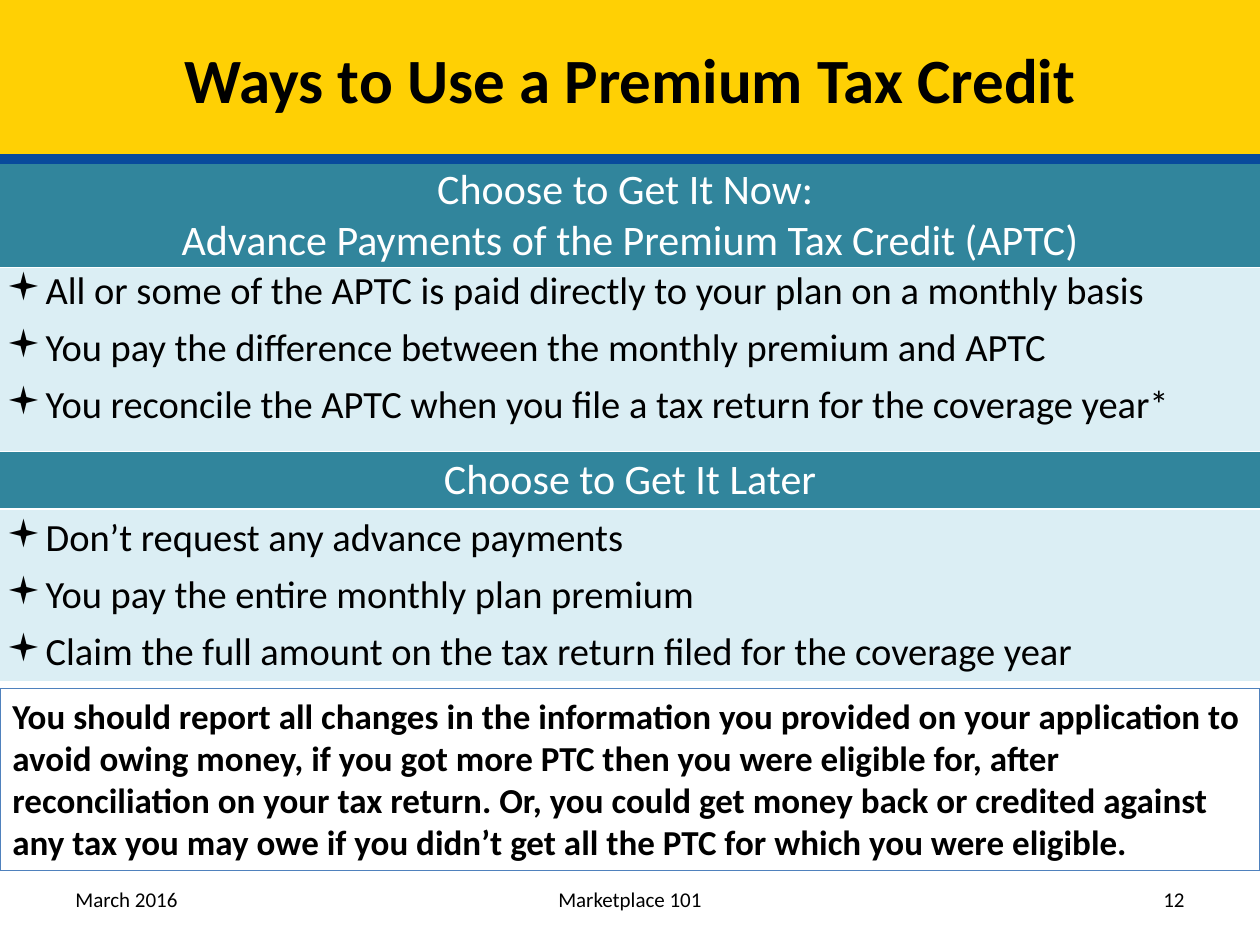
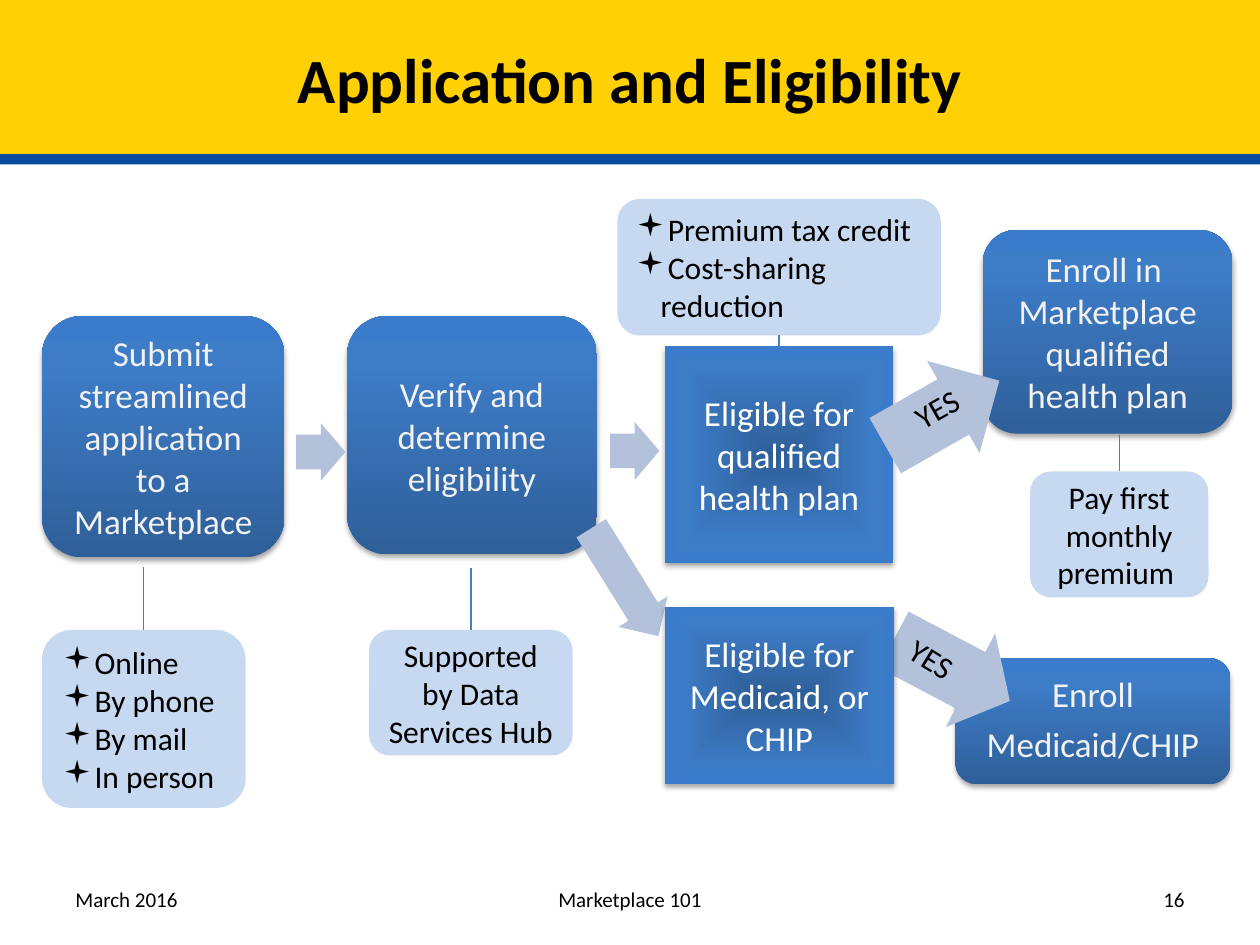
"""Build two Marketplace slides: ways to use a tax credit, and the eligibility flow."""
from dataclasses import dataclass, replace
from typing import Any, NamedTuple, Optional

from pptx import Presentation
from pptx.dml.color import RGBColor
from pptx.enum.shapes import MSO_CONNECTOR as Line, MSO_SHAPE as Preset
from pptx.enum.text import MSO_ANCHOR as Anchor, PP_ALIGN as Align
from pptx.oxml import parse_xml
from pptx.oxml.ns import nsdecls, qn
from pptx.oxml.xmlchemy import OxmlElement
from pptx.util import Inches, Pt

SLIDE_WIDTH, SLIDE_HEIGHT = Inches(10), Inches(7.5)
COLUMNS, ROWS = 120, 90
FONT, BULLET_FONT = "Calibri", "Wingdings"
BLACK = RGBColor(0x00, 0x00, 0x00)
WHITE = RGBColor(0xFF, 0xFF, 0xFF)
OFF_WHITE = RGBColor(0xF2, 0xF2, 0xF2)
YELLOW = RGBColor(0xFF, 0xD0, 0x04)
NAVY = RGBColor(0x08, 0x4A, 0x9C)
TEAL = RGBColor(0x31, 0x85, 0x9C)
PALE_TEAL = RGBColor(0xDB, 0xEE, 0xF4)
PALE_BLUE = RGBColor(0xC6, 0xD9, 0xF1)
ARROW_BLUE = RGBColor(0xB3, 0xC1, 0xDB)
LINE_BLUE = RGBColor(0x4B, 0x7E, 0xBC)
NOTE_BLUE = RGBColor(0x4F, 0x81, 0xBD)
DEEP_BLUE = RGBColor(0x2F, 0x5F, 0x99)
MID_BLUE = RGBColor(0x3D, 0x7C, 0xC7)
BRIGHT_BLUE = RGBColor(0x3A, 0x7C, 0xCB)

UPWARD = '<a:lin ang="16200000" scaled="0"/>'
OUTWARD = '<a:path path="rect"><a:fillToRect l="50000" t="50000" r="50000" b="50000"/></a:path>'


class Area(NamedTuple):
    """A place on the grid, in columns and rows."""
    left: float
    top: float
    width: float
    height: float


class Shadow(NamedTuple):
    """A shadow that falls straight down, in points and percent."""
    color: RGBColor
    opacity: int
    blur: float
    distance: float


@dataclass(frozen=True)
class Prose:
    """How the paragraphs of a box look."""
    size: float
    color: RGBColor = BLACK
    bold: bool = False
    align: Align = Align.CENTER
    anchor: Anchor = Anchor.MIDDLE
    indent: float = 0
    before: float = 0
    after: float = 0
    spacing: float = 1.0


@dataclass(frozen=True)
class Look:
    """How a shape is drawn."""
    preset: Preset = Preset.RECTANGLE
    fill: Optional[RGBColor] = None
    gradient: str = ""
    outline: Optional[RGBColor] = None
    margin: Optional[float] = None
    shadow: Optional[Shadow] = None


@dataclass(frozen=True)
class Item:
    """One shape with its text."""
    area: Area
    look: Look
    lines: tuple[str, ...] = ()
    prose: Prose = Prose(20)


class Arrow(NamedTuple):
    """A block arrow."""
    area: Area
    angle: float = 0
    head: float = 0.5


class Stem(NamedTuple):
    """A vertical line from a row down to the top of a shape."""
    row: float
    target: str


TITLE = Prose(36, bold=True)
FOOTER = Prose(12)
STEP_TEXT = Prose(20, OFF_WHITE)
OUTCOME_TEXT = Prose(20, WHITE)
DETAIL = Prose(18)
DETAIL_LIST = replace(DETAIL, align=Align.LEFT, indent=2.3)
HEADING = Prose(24, WHITE)
POINTS = Prose(22, align=Align.LEFT, indent=3.75, before=6)
NOTE = Prose(20, bold=True, align=Align.LEFT, anchor=Anchor.TOP)

SOFT = Shadow(BLACK, 35, 3.1, 1.8)
BAND = Look(fill=YELLOW, shadow=Shadow(NAVY, 100, 0, 6))
STEP = Look(Preset.ROUNDED_RECTANGLE, gradient=UPWARD, shadow=SOFT)
OUTCOME = Look(gradient=OUTWARD, margin=0.7, shadow=SOFT)
BUBBLE = Look(Preset.ROUNDED_RECTANGLE, PALE_BLUE)

CREDIT_ROWS = (
    (9.9, TEAL, HEADING, ("Choose to Get It Now: ",
                          "Advance Payments of the Premium Tax Credit (APTC)")),
    (17.5, PALE_TEAL, replace(POINTS, anchor=Anchor.TOP), (
        "All or some of the APTC is paid directly to your plan on a monthly basis",
        "You pay the difference between the monthly premium and APTC",
        "You reconcile the APTC when you file a tax return for the coverage year*")),
    (5.5, TEAL, HEADING, ("Choose to Get It Later",)),
    (16.4, PALE_TEAL, POINTS, (
        "Don’t request any advance payments",
        "You pay the entire monthly plan premium",
        "Claim the full amount on the tax return filed for the coverage year")),
)
REPORT_NOTE = (
    "You should report all changes in the information you provided on your application to "
    "avoid owing money, if you got more PTC then you were eligible for, after reconciliation "
    "on your tax return. Or, you could get money back or credited against any tax you may owe "
    "if you didn’t get all the PTC for which you were eligible.")

FLOW = {
    "enroll medicaid": Item(Area(91, 62.7, 26.2, 12), STEP, ("Enroll", "Medicaid/CHIP"),
                            replace(STEP_TEXT, after=7, spacing=0.9)),
    "savings": Item(Area(58.8, 18.95, 30.8, 13), BUBBLE,
                    ("Premium tax credit", "Cost-sharing reduction"), DETAIL_LIST),
    "enroll plan": Item(Area(93.6, 21.9, 23.8, 19.4), STEP,
                        ("Enroll in ", "Marketplace", "qualified health plan"), STEP_TEXT),
    "plan eligible": Item(Area(63.3, 33, 21.8, 20.6), OUTCOME,
                          ("Eligible for qualified health plan",), OUTCOME_TEXT),
    "hub": Item(Area(35.15, 60, 19.4, 11.95), BUBBLE,
                ("Supported by Data Services Hub",), DETAIL),
    "channels": Item(Area(4, 60, 19.4, 16.95), BUBBLE,
                     ("Online", "By phone", "By mail", "In person"), DETAIL_LIST),
    "payment": Item(Area(98.1, 44.9, 17, 12), BUBBLE, ("Pay first monthly premium ",), DETAIL),
    "submit": Item(Area(4, 30.1, 23.1, 23), STEP,
                   ("Submit streamlined application to a Marketplace",), STEP_TEXT),
    "verify": Item(Area(33.05, 30.1, 23.8, 22.7), STEP,
                   ("Verify and determine eligibility",), STEP_TEXT),
}
MEDICAID = Item(Area(63.3, 57.8, 21.85, 16.9), OUTCOME,
                ("Eligible for Medicaid, or CHIP",), OUTCOME_TEXT)
ARROWS = (
    Arrow(Area(58.1, 40.2, 4.7, 5.5)),
    Arrow(Area(28.2, 40.3, 4.7, 5.5)),
    Arrow(Area(83.5, 34.3, 12.5, 10.1), 330.3),
    Arrow(Area(84.4, 58.8, 12.5, 10.1), 27.8, 0.42),
    Arrow(Area(53.45, 52.7, 12.1, 5.5), 58.1),
)
ANSWERS = (
    (Area(80.2, 38, 12.7, 4.8), 330.5, Align.RIGHT),
    (Area(85.1, 61.3, 10.4, 4.9), 31.7, Align.LEFT),
)
STEMS = (Stem(41.4, "payment"), Stem(54, "channels"), Stem(54.1, "hub"))


def across(columns: float) -> int:
    """Turn grid columns into a length."""
    return round(SLIDE_WIDTH * columns / COLUMNS)


def down(rows: float) -> int:
    """Turn grid rows into a length."""
    return round(SLIDE_HEIGHT * rows / ROWS)


def place(area: Area) -> tuple[int, int, int, int]:
    """Turn a grid area into lengths."""
    return across(area.left), down(area.top), across(area.width), down(area.height)


def assign(target: Any, values: dict[str, Any]) -> None:
    """Set each named attribute of the target."""
    for name, value in values.items():
        setattr(target, name, value)


def write(frame: Any, lines: tuple[str, ...], prose: Prose) -> None:
    """Fill a text frame, one paragraph a line."""
    for index, line in enumerate(lines):
        para = frame.add_paragraph() if index else frame.paragraphs[0]
        if prose.indent:
            properties = para._p.get_or_add_pPr()
            properties.set("marL", str(across(prose.indent)))
            properties.set("indent", str(-across(prose.indent)))
            for tag, key, value in (("a:buFont", "typeface", BULLET_FONT),
                                    ("a:buChar", "char", "▪")):
                part = OxmlElement(tag)
                part.set(key, value)
                properties.append(part)
        assign(para, {"alignment": prose.align, "line_spacing": prose.spacing,
                      "space_before": Pt(prose.before if index else 0),
                      "space_after": Pt(prose.after)})
        span = para.add_run()
        span.text = line
        assign(span.font, {"name": FONT, "size": Pt(prose.size), "bold": prose.bold})
        span.font.color.rgb = prose.color


def add_text(page: Any, area: Area, line: str, prose: Prose, angle: float = 0) -> None:
    """Add a plain text box."""
    box = page.shapes.add_textbox(*place(area))
    box.rotation = angle
    assign(box.text_frame, {"word_wrap": True, "vertical_anchor": prose.anchor})
    write(box.text_frame, (line,), prose)


def shade(box: Any, direction: str) -> None:
    """Give a shape the blue gradient."""
    stops = "".join(f'<a:gs pos="{share * 1000}"><a:srgbClr val="{color}"/></a:gs>'
                    for share, color in ((0, DEEP_BLUE), (80, MID_BLUE), (100, BRIGHT_BLUE)))
    properties = box._element.spPr
    properties.replace(properties.find(qn("a:noFill")), parse_xml(
        f'<a:gradFill {nsdecls("a")} rotWithShape="1"><a:gsLst>{stops}</a:gsLst>'
        f'{direction}</a:gradFill>'))


def cast(box: Any, shadow: Shadow) -> None:
    """Give a shape its shadow."""
    box._element.spPr.find(qn("a:effectLst")).append(parse_xml(
        f'<a:outerShdw {nsdecls("a")} blurRad="{Pt(shadow.blur)}" dist="{Pt(shadow.distance)}" '
        f'dir="5400000" rotWithShape="0"><a:srgbClr val="{shadow.color}">'
        f'<a:alpha val="{shadow.opacity * 1000}"/></a:srgbClr></a:outerShdw>'))


def add_item(page: Any, item: Item) -> Any:
    """Draw a shape with its text."""
    look = item.look
    box = page.shapes.add_shape(look.preset, *place(item.area))
    box.shadow.inherit = False
    box.fill.background()
    box.line.fill.background()
    if look.outline is not None:
        box.line.color.rgb = look.outline
        box.line.width = Pt(0.75)
    if look.gradient:
        shade(box, look.gradient)
    elif look.fill is not None:
        box.fill.solid()
        box.fill.fore_color.rgb = look.fill
    if look.shadow:
        cast(box, look.shadow)
    frame = box.text_frame
    assign(frame, {"word_wrap": True, "vertical_anchor": item.prose.anchor})
    if look.margin is not None:
        sides = ("margin_left", "margin_right", "margin_top", "margin_bottom")
        assign(frame, dict.fromkeys(sides, across(look.margin)))
    write(frame, item.lines, item.prose)
    return box


def add_arrow(page: Any, arrow: Arrow) -> None:
    """Draw a block arrow."""
    box = add_item(page, Item(arrow.area, Look(Preset.RIGHT_ARROW, ARROW_BLUE)))
    box.rotation = arrow.angle
    box.adjustments[0], box.adjustments[1] = 0.6, arrow.head


def add_line(page: Any, top: int, target: Any) -> Any:
    """Draw a thin line that ends at the top of a shape."""
    middle = target.left + target.width // 2
    line = page.shapes.add_connector(Line.STRAIGHT, middle, top, middle, target.top)
    line.end_connect(target, 0)
    line.line.color.rgb = LINE_BLUE
    line.line.width = Pt(0.75)
    line._element.spPr.append(OxmlElement("a:effectLst"))
    return line


def add_page(deck: Any, title: str, number: int) -> Any:
    """Add a blank slide with band, title and footer."""
    page = deck.slides.add_slide(deck.slide_layouts[6])
    add_item(page, Item(Area(0, 0, COLUMNS, 14.65), BAND))
    add_text(page, Area(0, 0, COLUMNS, 15), title, TITLE)
    for left, width, text, align in ((6, 28, "March 2016", Align.LEFT),
                                     (34, 52, "Marketplace 101", Align.CENTER),
                                     (86, 28, str(number), Align.RIGHT)):
        add_text(page, Area(left, 83.2, width, 4.8), text, replace(FOOTER, align=align))
    return page


def add_credit_table(page: Any) -> None:
    """Add the table of the two ways to take the credit."""
    area = Area(0, 15.6, COLUMNS, sum(row[0] for row in CREDIT_ROWS))
    table = page.shapes.add_table(len(CREDIT_ROWS), 1, *place(area)).table
    assign(table, {"first_row": False, "horz_banding": False})
    white = f'<a:solidFill><a:srgbClr val="{WHITE}"/></a:solidFill>'
    clear = "<a:noFill/>"
    for index, (height, fill, prose, lines) in enumerate(CREDIT_ROWS):
        table.rows[index].height = down(height)
        cell = table.cell(index, 0)
        assign(cell, {"margin_left": across(0.6), "margin_right": across(0.6),
                      "margin_top": 0, "margin_bottom": 0, "vertical_anchor": prose.anchor})
        cell.fill.solid()
        cell.fill.fore_color.rgb = fill
        for side, paint in (("lnB", white), ("lnT", white if index else clear),
                            ("lnR", clear), ("lnL", clear)):
            cell._tc.get_or_add_tcPr().insert(0, parse_xml(
                f'<a:{side} {nsdecls("a")} w="{Pt(1)}">{paint}</a:{side}>'))
        write(cell.text_frame, lines, prose)


def add_flow(page: Any) -> None:
    """Draw the steps from application to enrolment."""
    boxes = {name: add_item(page, item) for name, item in FLOW.items()}
    for arrow in ARROWS:
        add_arrow(page, arrow)
    add_item(page, MEDICAID)
    for area, angle, align in ANSWERS:
        add_text(page, area, "YES", replace(DETAIL, align=align, anchor=Anchor.TOP), angle)
    for stem in STEMS:
        add_line(page, down(stem.row), boxes[stem.target])
    savings = boxes["savings"]
    link = add_line(page, savings.top + savings.height, boxes["plan eligible"])
    link.begin_connect(savings, 2)


def main() -> None:
    """Build and save the deck."""
    deck = Presentation()
    assign(deck, {"slide_width": SLIDE_WIDTH, "slide_height": SLIDE_HEIGHT})
    credit_page = add_page(deck, "Ways to Use a Premium Tax Credit", 12)
    add_credit_table(credit_page)
    add_item(credit_page, Item(Area(0, 65.55, COLUMNS, 17.35), Look(outline=NOTE_BLUE),
                               (REPORT_NOTE,), NOTE))
    add_flow(add_page(deck, "Application and Eligibility", 16))
    deck.save("out.pptx")


if __name__ == "__main__":
    main()
